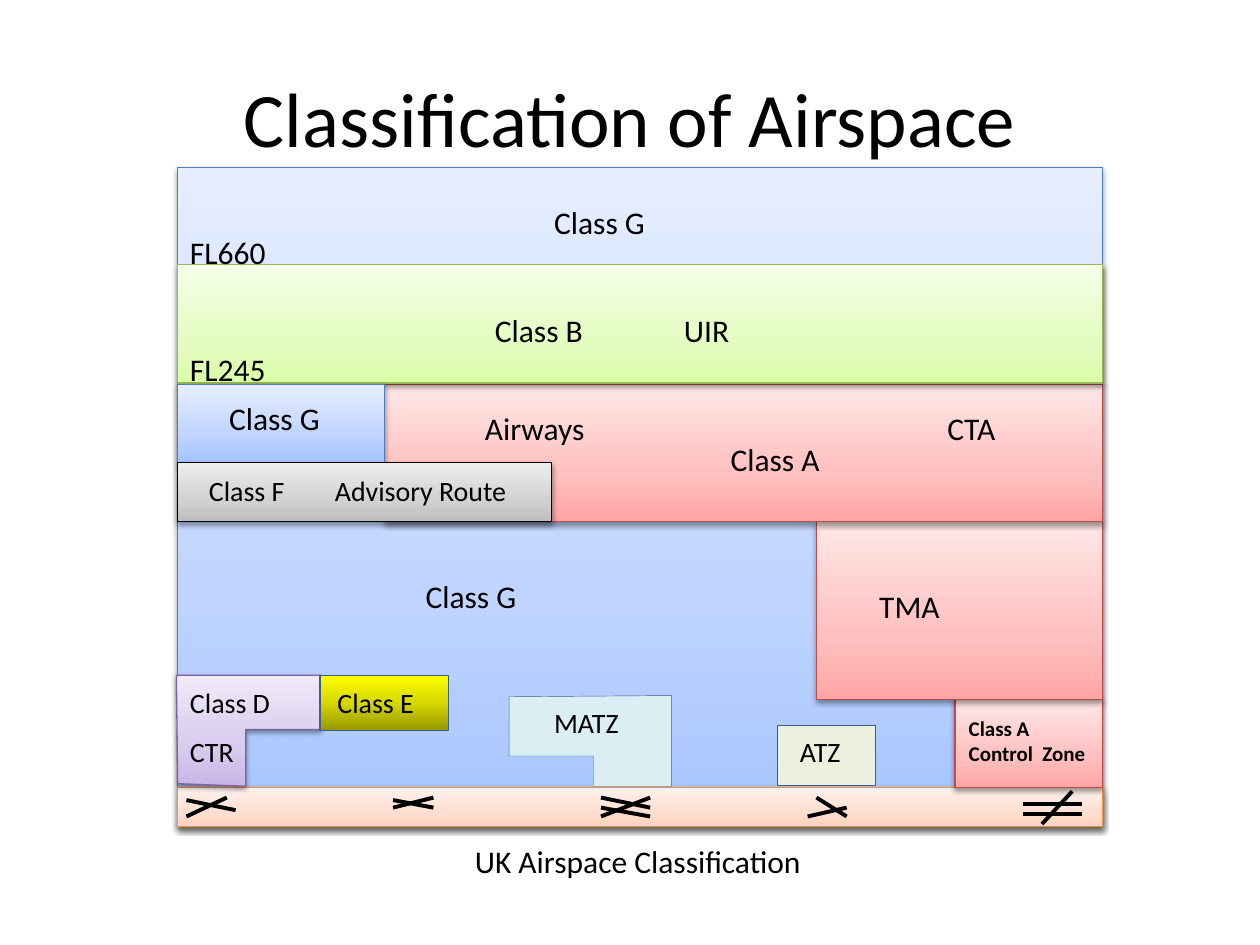
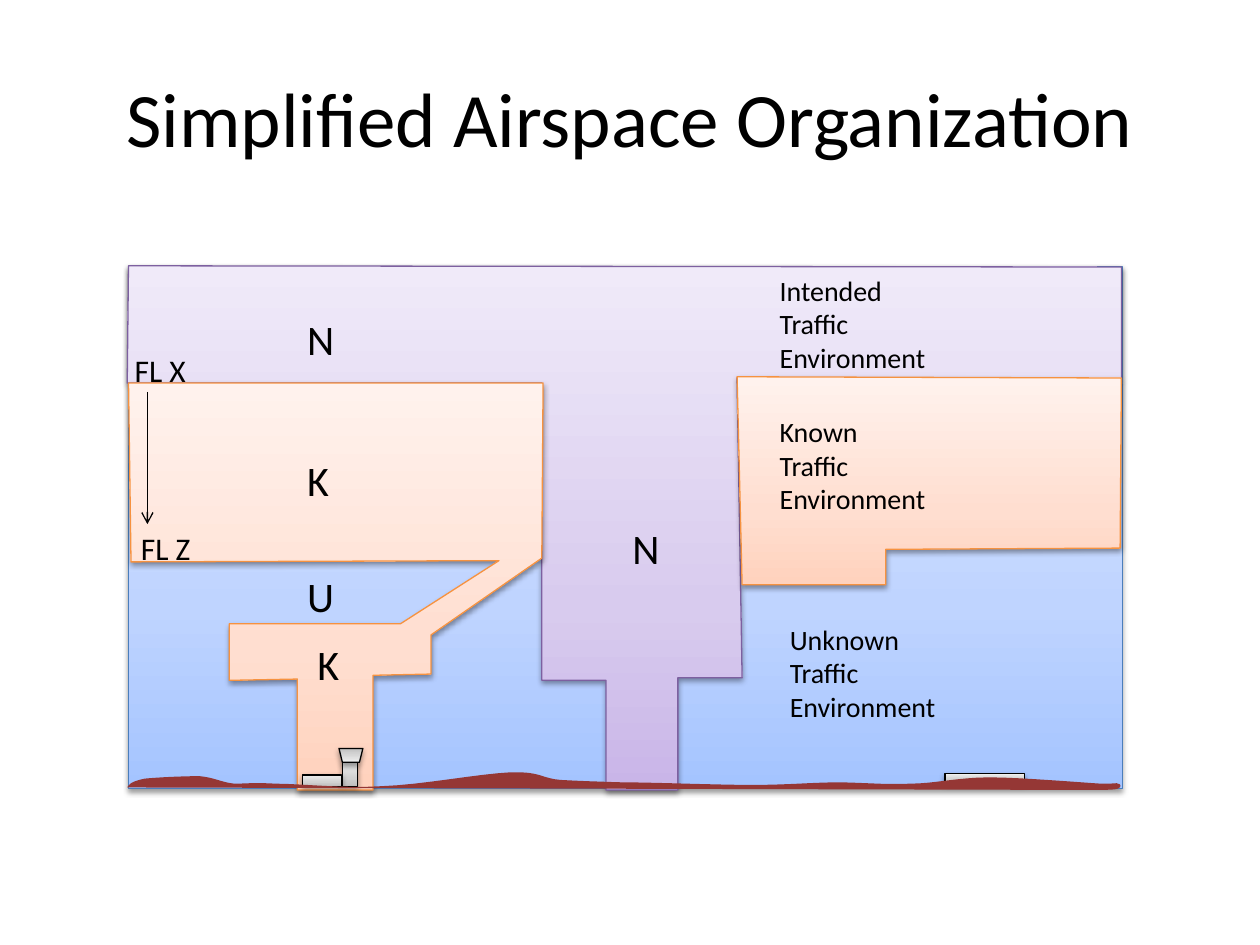
from copy import deepcopy
from dataclasses import dataclass, field

from lxml import etree
from pptx import Presentation
from pptx.dml.color import RGBColor
from pptx.enum.shapes import MSO_CONNECTOR, MSO_SHAPE
from pptx.enum.text import MSO_ANCHOR, MSO_AUTO_SIZE, PP_ALIGN
from pptx.oxml.ns import qn
from pptx.util import Inches, Pt

RECTANGLE = MSO_SHAPE.RECTANGLE
TRAPEZOID = MSO_SHAPE.TRAPEZOID
STRAIGHT = MSO_CONNECTOR.STRAIGHT
MIDDLE = MSO_ANCHOR.MIDDLE
GROW = MSO_AUTO_SIZE.SHAPE_TO_FIT_TEXT
NO_FIT = MSO_AUTO_SIZE.NONE
LEFT = PP_ALIGN.LEFT
CENTER = PP_ALIGN.CENTER

PX = Inches(1) // 100
BLANK_LAYOUT = 6
CURVE_STEPS = 8


@dataclass(frozen=True)
class Paint:
    colors: tuple
    line: str = ""
    line_width: float = 0.75
    middle: float = 0.35
    shadow: bool = True


@dataclass(frozen=True)
class Theme:
    font: str = "Calibri"
    ink: str = "000000"
    title_size: int = 44
    letter_size: int = 24
    label_size: int = 18
    small_size: int = 16
    tiny_size: int = 12
    paints: dict = field(default_factory=lambda: {
        "blue": Paint(("A4C4FF", "BFD4FF", "E6EEFF"), "4B7EBC"),
        "orange": Paint(("FFD2BD", "FFDED0", "FFF2ED"), "F69240"),
        "red": Paint(("FFA6A5", "FFC0BF", "FFE7E7"), "BF4C48"),
        "green": Paint(("DAFDA7", "E4FCC2", "F5FFE7"), "98B955"),
        "purple": Paint(("C9B5E8", "D8CBEE", "F0EAF9"), "7D60A0"),
        "gray": Paint(("BDBDBD", "D1D1D1", "EEEEEE"), "000000"),
        "yellow": Paint(("979700", "D7D700", "FFFF00"), "3A5F8C", middle=0.5, shadow=False),
        "cream": Paint(("EBF1DE",), "3A5F8C", 0.25, shadow=False),
        "aqua": Paint(("DBEEF4",), "3A5F8C", 0.25, shadow=False),
        "earth": Paint(("953735",), shadow=False),
    })


def curve_points(start, curves):
    points = [start]
    for first, second, end in curves:
        begin = points[-1]
        for step in range(1, CURVE_STEPS + 1):
            t = step / CURVE_STEPS
            weights = ((1 - t) ** 3, 3 * t * (1 - t) ** 2, 3 * t * t * (1 - t), t ** 3)
            controls = (begin, first, second, end)
            points.append(tuple(
                sum(weight * control[axis] for weight, control in zip(weights, controls))
                for axis in (0, 1)))
    return points


class Painter:
    def __init__(self, presentation, theme):
        self.presentation = presentation
        self.theme = theme
        self.slide = None

    def new_slide(self, title):
        layout = self.presentation.slide_layouts[BLANK_LAYOUT]
        self.slide = self.presentation.slides.add_slide(layout)
        frame = self.text(50, 30, 900, 125, title, self.theme.title_size, align=CENTER)
        frame.auto_size = NO_FIT
        frame.vertical_anchor = MIDDLE

    def text(self, left, top, width, height, lines, size, bold=False, align=LEFT):
        shape = self.slide.shapes.add_textbox(left * PX, top * PX, width * PX, height * PX)
        frame = shape.text_frame
        frame.word_wrap = True
        frame.auto_size = GROW
        for index, line in enumerate(lines.split("\n")):
            paragraph = frame.add_paragraph() if index else frame.paragraphs[0]
            paragraph.alignment = align
            run = paragraph.add_run()
            run.text = line
            run.font.name = self.theme.font
            run.font.size = Pt(size)
            run.font.bold = bold
            run.font.color.rgb = RGBColor.from_string(self.theme.ink)
        return frame

    def box(self, left, top, width, height, paint, preset=RECTANGLE):
        shape = self.slide.shapes.add_shape(
            preset, left * PX, top * PX, width * PX, height * PX)
        self.decorate(shape, paint)
        return shape

    def flipped_trapezoid(self, left, top, width, height, paint):
        shape = self.box(left, top, width, height, paint, TRAPEZOID)
        shape._element.spPr.find(qn("a:xfrm")).set("flipV", "1")

    def outline(self, points, paint):
        start, *others = [(round(x * PX), round(y * PX)) for x, y in points]
        builder = self.slide.shapes.build_freeform(*start, scale=1.0)
        builder.add_line_segments(others, close=True)
        self.decorate(builder.convert_to_shape(), paint)

    def line(self, begin_x, begin_y, end_x, end_y, width, arrow=False):
        connector = self.slide.shapes.add_connector(
            STRAIGHT, begin_x * PX, begin_y * PX, end_x * PX, end_y * PX)
        connector.line.width = Pt(width)
        connector.line.color.rgb = RGBColor.from_string(self.theme.ink)
        properties = connector._element.spPr
        if arrow:
            etree.SubElement(properties.find(qn("a:ln")), qn("a:tailEnd"), type="arrow")
        etree.SubElement(properties, qn("a:effectLst"))

    def decorate(self, shape, paint_name):
        paint = self.theme.paints[paint_name]
        if len(paint.colors) == 1:
            shape.fill.solid()
            shape.fill.fore_color.rgb = RGBColor.from_string(paint.colors[0])
        else:
            self.shade(shape, paint)
        if paint.line:
            shape.line.color.rgb = RGBColor.from_string(paint.line)
            shape.line.width = Pt(paint.line_width)
        else:
            shape.line.fill.background()
        shape.shadow.inherit = False
        if paint.shadow:
            effects = shape._element.spPr.find(qn("a:effectLst"))
            shadow = etree.SubElement(
                effects, qn("a:outerShdw"), blurRad=str(Pt(3.1)), dist=str(Pt(1.6)),
                dir="5400000", rotWithShape="0")
            color = etree.SubElement(shadow, qn("a:srgbClr"), val=self.theme.ink)
            etree.SubElement(color, qn("a:alpha"), val="38000")

    def shade(self, shape, paint):
        shape.fill.gradient()
        shape.fill.gradient_angle = 90
        stop_list = shape._element.spPr.find(qn("a:gradFill")).find(qn("a:gsLst"))
        stop_list.insert(1, deepcopy(stop_list[0]))
        positions = (0, paint.middle, 1)
        for stop, position, color in zip(shape.fill.gradient_stops, positions, paint.colors):
            stop.position = position
            stop.color.rgb = RGBColor.from_string(color)


def draw_classification(painter):
    theme = painter.theme
    painter.new_slide("Classification of Airspace")
    painter.text(367, 663, 328, 40, "UK Airspace Classification", theme.label_size)
    painter.box(141, 133, 734, 523, "blue")
    painter.box(141, 625, 734, 31, "orange")

    runways = [
        (180, 633, 148, 648), (148, 635, 187, 643),
        (344, 633, 312, 641), (312, 635, 344, 641),
        (477, 633, 516, 641), (477, 641, 516, 648), (477, 648, 516, 633),
        (672, 641, 641, 648), (648, 633, 672, 648),
        (851, 628, 827, 654), (812, 638, 859, 638), (812, 646, 859, 646),
    ]
    for runway in runways:
        painter.line(*runway, width=2.25)

    painter.box(758, 555, 117, 70, "red")
    painter.box(648, 414, 227, 141, "red")
    painter.box(305, 305, 570, 109, "red")
    painter.box(141, 210, 734, 94, "green")
    painter.box(141, 305, 164, 62, "blue")
    control_zone = [(140, 536), (255, 536), (254, 579), (195, 579), (195, 624), (141, 622)]
    painter.outline(control_zone, "purple")
    painter.box(254, 536, 102, 44, "yellow")
    painter.box(617, 576, 78, 47, "cream")
    painter.box(141, 367, 297, 47, "gray")
    military_zone = [(533, 624), (533, 552), (404, 553), (404, 600), (471, 600), (471, 624)]
    painter.outline(military_zone, "aqua")

    labels = [
        (430, 156, 117, "Class G"), (383, 242, 266, "Class B\t\tUIR"),
        (375, 320, 117, "Airways"), (570, 344, 117, "Class A"),
        (742, 320, 117, "CTA"), (688, 461, 70, "TMA"),
        (328, 453, 117, "Class G"), (172, 312, 117, "Class G"),
        (141, 180, 86, "FL660"), (141, 273, 86, "FL245"),
    ]
    for left, top, width, label in labels:
        painter.text(left, top, width, 40, label, theme.label_size)

    small_labels = [
        (156, 371, 281, "Class F\tAdvisory Route"), (625, 578, 70, "ATZ"),
        (430, 555, 86, "MATZ"), (141, 539, 94, "Class D"),
        (141, 578, 86, "CTR"), (258, 539, 117, "Class E"),
    ]
    for left, top, width, label in small_labels:
        painter.text(left, top, width, 37, label, theme.small_size)
    painter.text(759, 563, 116, 50, "Class A\nControl  Zone", theme.tiny_size, bold=True)


def draw_organization(painter):
    theme = painter.theme
    painter.new_slide("Simplified Airspace Organization")
    painter.box(102, 212, 789, 414, "blue")
    intended = [
        (102, 211), (890, 212), (890, 300), (585, 300), (589, 538), (538, 538),
        (538, 627), (481, 627), (481, 540), (430, 540), (430, 304), (101, 304),
    ]
    known_left = [
        (102, 304), (431, 304), (430, 443), (342, 504), (342, 535), (296, 536),
        (296, 627), (236, 627), (236, 539), (182, 540), (182, 495), (318, 495),
        (396, 445), (104, 446),
    ]
    known_right = [(589, 464), (703, 464), (703, 436), (889, 435), (890, 300), (585, 299)]
    painter.outline(intended, "purple")
    painter.outline(known_left, "orange")
    painter.outline(known_right, "orange")

    painter.box(750, 614, 63, 7, "gray")
    painter.box(272, 605, 12, 19, "gray")
    painter.flipped_trapezoid(269, 594, 19, 11, "gray")
    painter.box(240, 615, 31, 9, "gray")

    terrain = [
        ((103, 622), (105, 620), (115, 618)), ((124, 617), (146, 616), (158, 616)),
        ((170, 617), (176, 621), (186, 622)), ((196, 622), (200, 621), (219, 622)),
        ((239, 622), (272, 626), (303, 624)), ((334, 623), (381, 614), (405, 613)),
        ((429, 612), (430, 618), (445, 619)), ((460, 620), (496, 621), (496, 621)),
        ((521, 621), (569, 623), (597, 623)), ((625, 623), (644, 621), (665, 621)),
        ((685, 621), (702, 623), (722, 622)), ((742, 622), (760, 617), (785, 617)),
        ((810, 617), (857, 621), (874, 622)), ((891, 622), (885, 621), (887, 622)),
        ((890, 622), (890, 625), (887, 626)), ((885, 627), (872, 627), (872, 627)),
    ]
    painter.outline(curve_points((101, 625), terrain), "earth")

    letters = [
        (234, 244, "N"), (234, 356, "K"), (234, 448, "U"), (242, 502, "K"), (492, 410, "N"),
    ]
    for left, top, letter in letters:
        painter.text(left, top, 63, 43, letter, theme.letter_size)

    environments = [
        (609, 212, 250, "Intended"), (609, 324, 156, "Known"), (617, 489, 156, "Unknown"),
    ]
    for left, top, width, kind in environments:
        lines = f"{kind}\nTraffic\nEnvironment"
        painter.text(left, top, width, 91, lines, theme.small_size)

    painter.text(97, 274, 70, 34, "FL X", theme.label_size)
    painter.text(102, 415, 70, 34, "FL Z", theme.label_size)
    painter.line(117, 311, 117, 416, width=0.75, arrow=True)


def main():
    presentation = Presentation()
    presentation.slide_width = 1000 * PX
    presentation.slide_height = 750 * PX
    painter = Painter(presentation, Theme())
    draw_classification(painter)
    draw_organization(painter)
    presentation.save("out.pptx")


if __name__ == "__main__":
    main()
